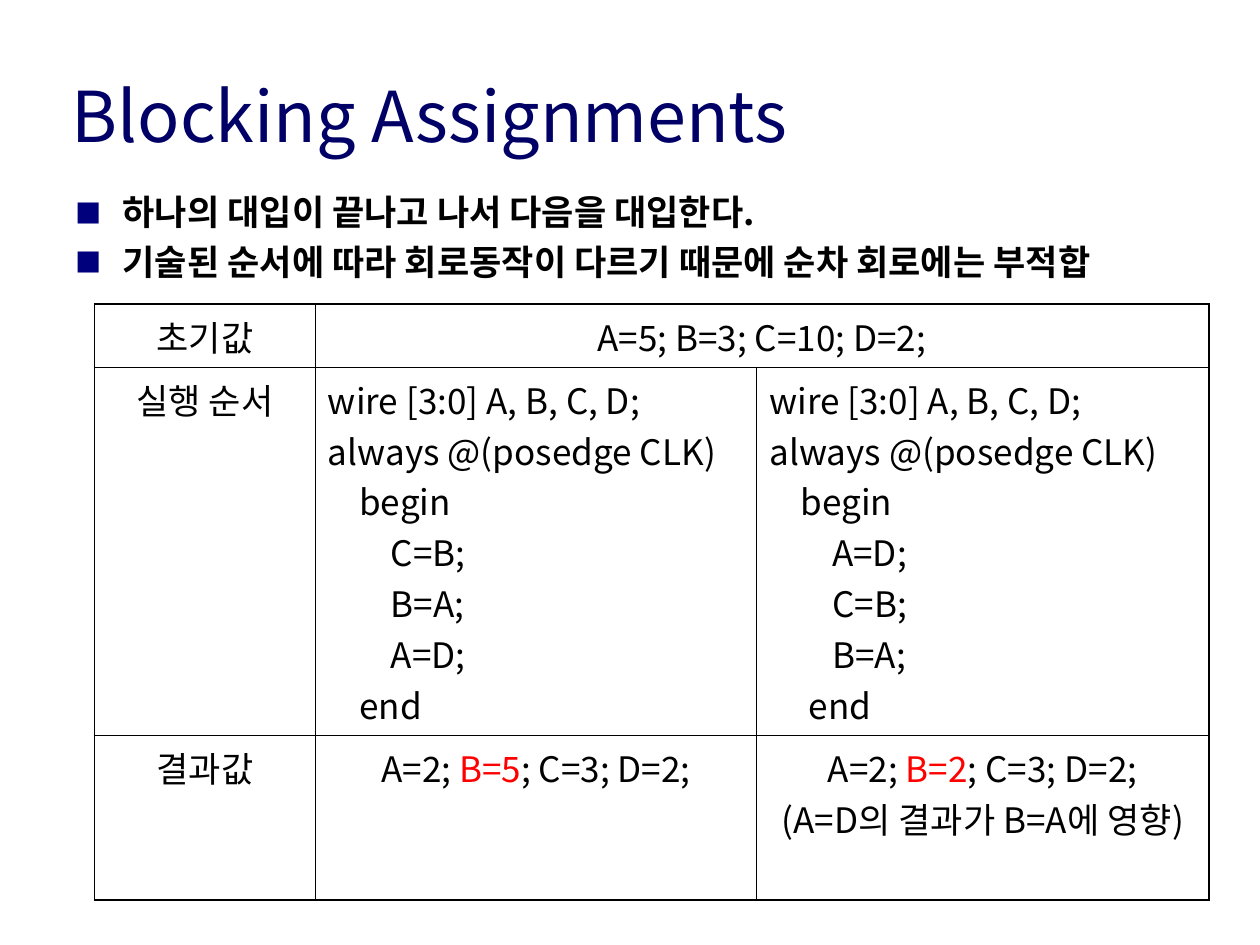
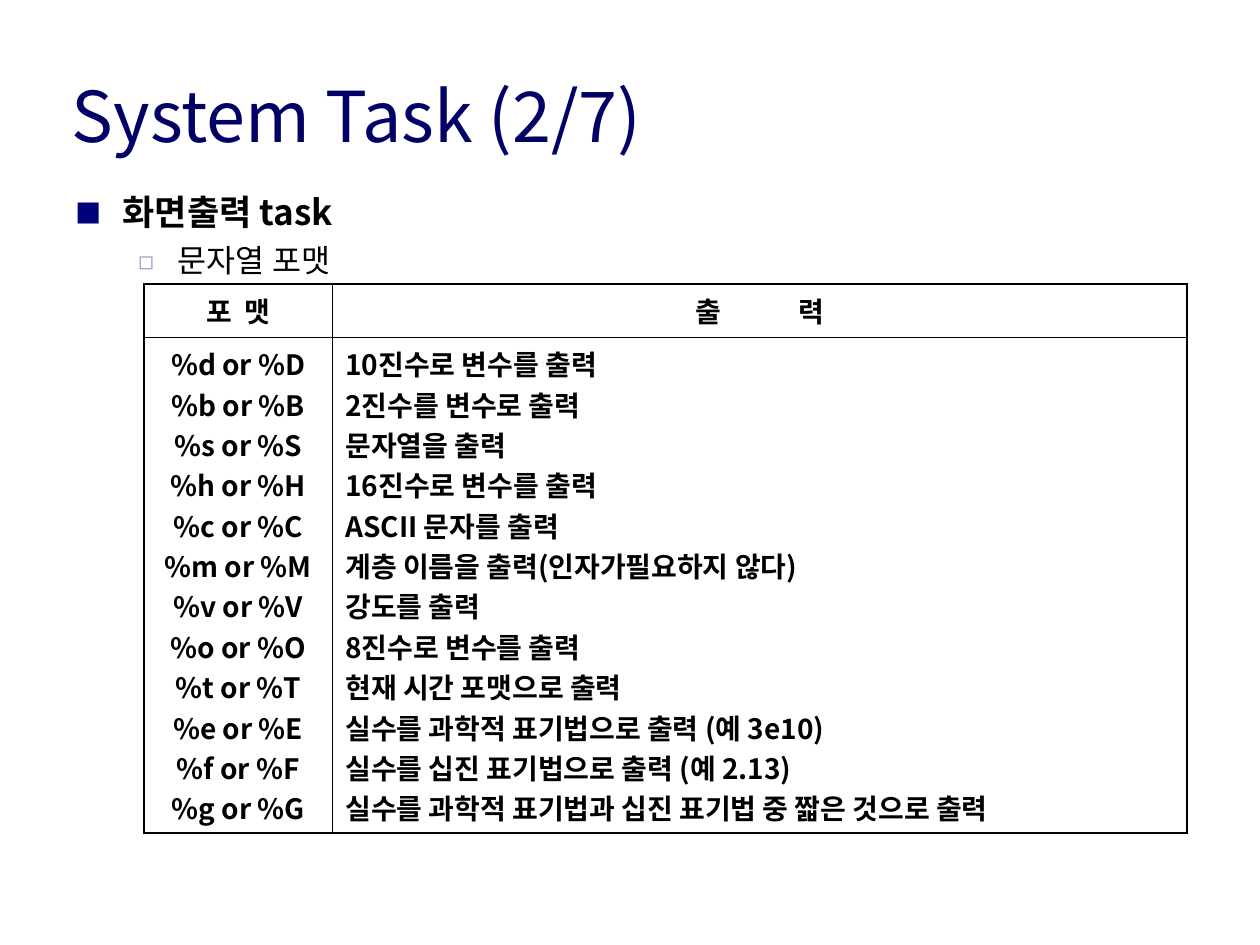
from lxml import etree
from pptx import Presentation
from pptx.dml.color import RGBColor
from pptx.enum import text
from pptx.oxml import ns
from pptx.util import Pt

FONT = "Noto Sans CJK KR"
NAVY = RGBColor(0x00, 0x00, 0x66)
BULLET_BLUE = RGBColor(0x00, 0x00, 0x7D)
BULLET_LILAC = RGBColor(0x99, 0x99, 0xCC)
BLACK = RGBColor(0, 0, 0)
RED = RGBColor(0xFF, 0, 0)
OUTER, INNER = Pt(1.13), Pt(0.45)
LEFT, CENTER = text.PP_ALIGN.LEFT, text.PP_ALIGN.CENTER
TOP, MIDDLE = text.MSO_ANCHOR.TOP, text.MSO_ANCHOR.MIDDLE

TITLE_BOX = (34, 34.5, 662, 62)
BODY_BOX = (36, 103.7, 648, 389.5)

# level: size, bold, left indent, hanging, space before, line height,
# bullet, bullet colour, bullet size in percent
LEVELS = [
    (20, True, 27, 27, 5, 23.5, "■", BULLET_BLUE, 75),
    (18, False, 58.5, 22.5, 4.5, 21.6, "◻", BULLET_LILAC, 80),
]


def sub(parent, tag, **attrs):
    return etree.SubElement(parent, ns.qn(tag), attrs)


def set_font(p, size, color=BLACK, bold=False):
    """Style a whole paragraph, Latin and Korean letters alike."""
    f = p.font
    f.size, f.bold, f.name = Pt(size), bold, FONT
    f.color.rgb = color
    p.font._element.find(ns.qn("a:latin")).addnext(
        p.font._element.makeelement(ns.qn("a:ea"), {"typeface": FONT}))


def add_box(s, box):
    tf = s.shapes.add_textbox(*map(Pt, box)).text_frame
    tf.word_wrap = True
    return tf


def paragraphs(tf, lines):
    """Yield a paragraph of the frame with each line."""
    for i, line in enumerate(lines):
        yield (tf.add_paragraph() if i else tf.paragraphs[0]), line


def add_title(s, title):
    tf = add_box(s, TITLE_BOX)
    tf.vertical_anchor = MIDDLE
    p = tf.paragraphs[0]
    p.text = title
    set_font(p, 40, NAVY)


def add_bullets(s, items):
    """Place (level, text) items in the body box."""
    tf = add_box(s, BODY_BOX)
    tf.margin_top = Pt(5.6)
    for i, (p, (level, line)) in enumerate(paragraphs(tf, items)):
        size, bold, indent, hanging, before, height, mark, color, percent = LEVELS[level]
        p.text = line
        p.line_spacing = Pt(height)
        p.space_before = Pt(before if i else 0)
        pPr = p._p.get_or_add_pPr()
        pPr.set("marL", str(Pt(indent)))
        pPr.set("indent", str(-Pt(hanging)))
        sub(sub(pPr, "a:buClr"), "a:srgbClr", val=str(color))
        sub(pPr, "a:buSzPct", val=str(percent * 1000))
        sub(pPr, "a:buFont", typeface=FONT)
        sub(pPr, "a:buChar", char=mark)
        set_font(p, size, bold=bold)


def set_borders(cell, widths):
    tcPr = cell._tc.get_or_add_tcPr()
    for side, width in zip("LRTB", widths):
        ln = sub(tcPr, "a:ln" + side, w=str(width))
        sub(sub(ln, "a:solidFill"), "a:srgbClr", val=str(BLACK))


def add_grid(s, left, top, widths, heights):
    """Add a plain table without banding."""
    tbl = s.shapes.add_table(len(heights), len(widths), Pt(left), Pt(top),
                             Pt(sum(widths)), Pt(sum(heights))).table
    tbl.first_row = tbl.horz_banding = False
    for col, width in zip(tbl.columns, widths):
        col.width = Pt(width)
    for row, height in zip(tbl.rows, heights):
        row.height = Pt(height)
    return tbl


def frame_cells(tbl):
    """Rule the table: heavy outside, fine inside, no fill."""
    last_row, last_col = len(tbl.rows) - 1, len(tbl.columns) - 1
    for r in range(last_row + 1):
        for c in range(last_col + 1):
            cell = tbl.cell(r, c)
            if not cell.is_spanned:
                right = c + cell.span_width - 1
                edges = (c == 0, right == last_col, r == 0, r == last_row)
                set_borders(cell, [OUTER if e else INNER for e in edges])
            cell.fill.background()


def fill_cell(cell, lines, size, align=CENTER, anchor=TOP, bold=False):
    """Each line is a string or a list of (text, colour, extra spacing) runs."""
    cell.vertical_anchor = anchor
    for p, line in paragraphs(cell.text_frame, lines):
        p.alignment = align
        set_font(p, size, bold=bold)
        for words, color, spacing in [(line, BLACK, 0)] if isinstance(line, str) else line:
            r = p.add_run()
            r.text = words
            if color != BLACK:
                r.font.color.rgb = color
            if spacing:
                r.font._element.set("spc", str(round(spacing * 100)))


def spread(first, last, gap):
    """Two syllables held apart by a widened space."""
    return [(first, BLACK, 0), (" ", BLACK, gap), (last, BLACK, 0)]


def result(b_value):
    return [("A=2; ", BLACK, 0), (b_value, RED, 0), ("; C=3; D=2;", BLACK, 0)]


def code(steps, end):
    return ["wire [3:0] A, B, C, D;", "always @(posedge CLK)", "    begin",
            *("        " + step for step in steps), end]


def add_assignment_table(s, left, top):
    tbl = add_grid(s, left, top, (126, 252, 258), (36, 210, 94))
    tbl.cell(0, 1).merge(tbl.cell(0, 2))
    frame_cells(tbl)
    for row, label in enumerate(("초기값", "실행 순서", "결과값")):
        fill_cell(tbl.cell(row, 0), [label], 20)
    fill_cell(tbl.cell(0, 1), ["A=5; B=3; C=10; D=2;"], 20)
    cases = [
        (("C=B;", "B=A;", "A=D;"), "    end", [result("B=5")]),
        (("A=D;", "C=B;", "B=A;"), "     end",
         [result("B=2"), "(A=D의 결과가 B=A에 영향)"]),
    ]
    for col, (steps, end, outcome) in enumerate(cases, 1):
        fill_cell(tbl.cell(1, col), code(steps, end), 20, LEFT)
        fill_cell(tbl.cell(2, col), outcome, 20)


def add_format_table(s, left, top):
    outputs = {
        "d": "10진수로 변수를 출력",
        "b": "2진수를 변수로 출력",
        "s": "문자열을 출력",
        "h": "16진수로 변수를 출력",
        "c": "ASCII 문자를 출력",
        "m": "계층 이름을 출력(인자가필요하지 않다)",
        "v": "강도를 출력",
        "o": "8진수로 변수를 출력",
        "t": "현재 시간 포맷으로 출력",
        "e": "실수를 과학적 표기법으로 출력 (예 3e10)",
        "f": "실수를 십진 표기법으로 출력 (예 2.13)",
        "g": "실수를 과학적 표기법과 십진 표기법 중 짧은 것으로 출력",
    }
    tbl = add_grid(s, left, top, (108, 487.5), (30.3, 283))
    frame_cells(tbl)
    columns = [
        (spread("포", "맷", 3.6), [f"%{k} or %{k.upper()}" for k in outputs], CENTER),
        (spread("출", "력", 40), outputs.values(), LEFT),
    ]
    for col, (heading, lines, align) in enumerate(columns):
        fill_cell(tbl.cell(0, col), [heading], 16, CENTER, MIDDLE, True)
        fill_cell(tbl.cell(1, col), lines, 16, align, MIDDLE, True)


def add_slide(prs, title, bullets):
    s = prs.slides.add_slide(prs.slide_layouts[6])
    add_title(s, title)
    add_bullets(s, bullets)
    return s


def main():
    prs = Presentation()
    prs.slide_width, prs.slide_height = Pt(719.3), Pt(539.3)
    s = add_slide(prs, "Blocking Assignments", [
        (0, "하나의 대입이 끝나고 나서 다음을 대입한다."),
        (0, "기술된 순서에 따라 회로동작이 다르기 때문에 순차 회로에는 부적합"),
    ])
    add_assignment_table(s, 54, 173.5)
    s = add_slide(prs, "System Task (2/7)", [(0, "화면출력 task"), (1, "문자열 포맷")])
    add_format_table(s, 82, 162)
    prs.save("out.pptx")


if __name__ == "__main__":
    main()
